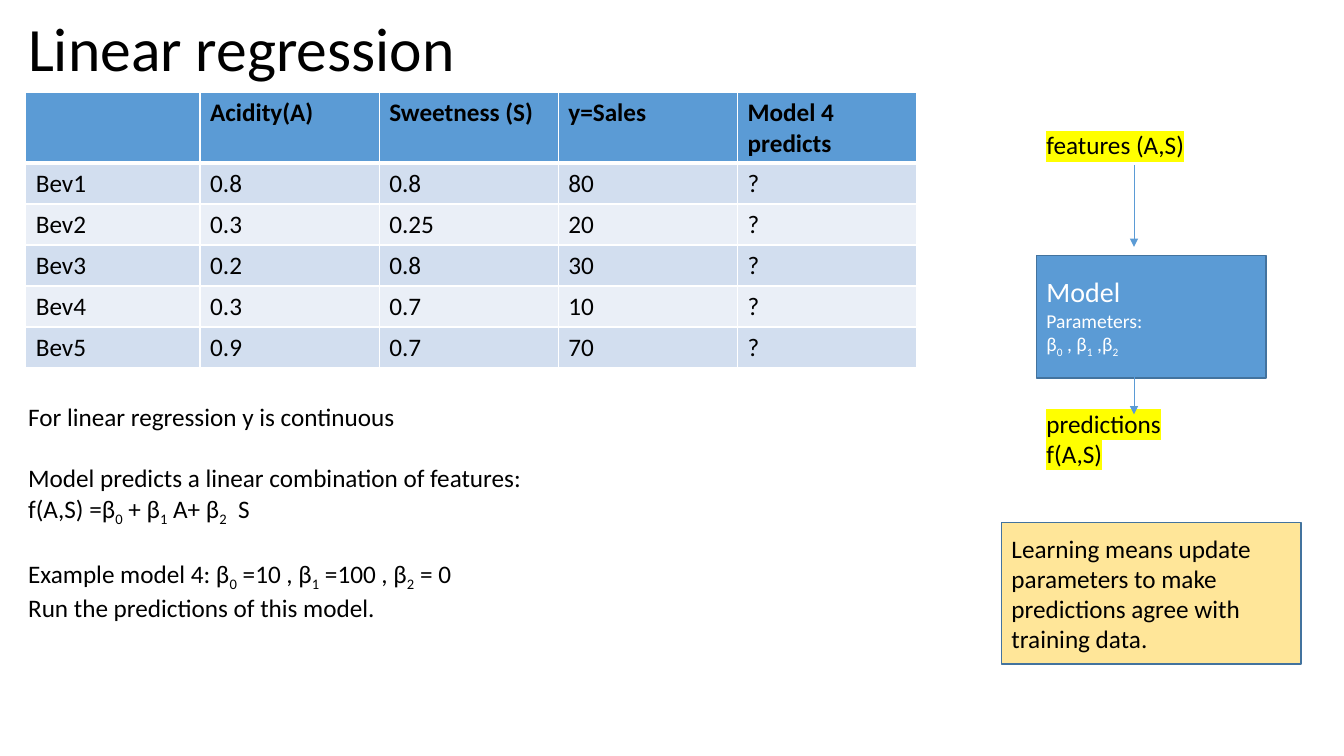
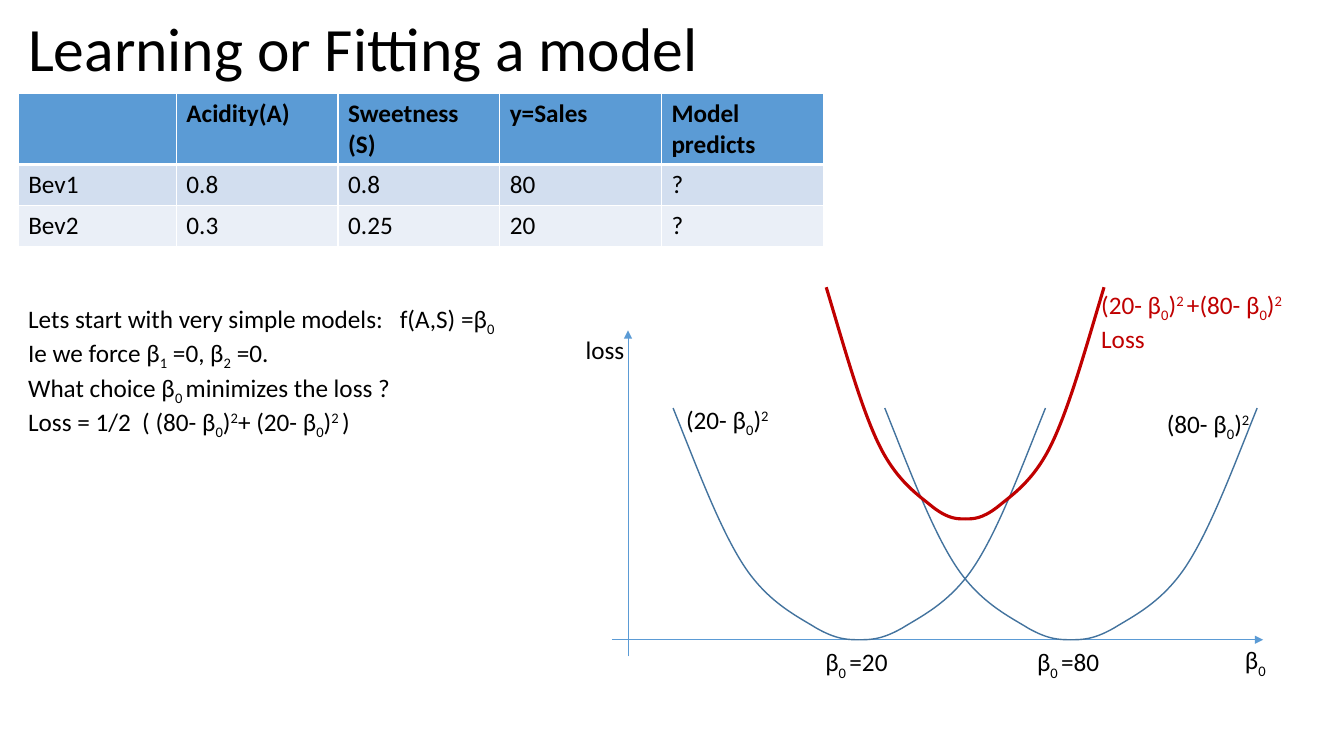
from dataclasses import dataclass

from lxml import etree
from pptx import Presentation
from pptx import util as u
from pptx.dml.color import RGBColor
from pptx.enum import shapes, text
from pptx.oxml.ns import qn

Pt = u.Pt


@dataclass(frozen=True)
class Theme:
    font: str = "Calibri"
    ink: str = "000000"
    white: str = "FFFFFF"
    blue: str = "5B9BD5"
    outline: str = "43739E"
    bands: tuple = ("D2DEEF", "EAEFF7")
    note: str = "FFE699"
    marker: str = "FFFF00"
    loss: str = "C00000"
    title: int = 44
    heading: int = 20
    body: int = 18
    small: int = 14


@dataclass(frozen=True)
class Line:
    text: str
    size: int = Theme.body
    before: float = 0
    tab: float = 0
    same_paragraph: bool = False


T = Theme()
BLANK_LINE = 22
HEADER_HEIGHT, ROW_HEIGHT = 49.5, 29.3
BASELINES = {"_": "-25000", "^": "30000"}
HALF_CURVE = [
    (1, 0), (0.87, 0.26), (0.75, 0.52), (0.62, 0.68),
    (0.49, 0.84), (0.33, 0.9), (0.23, 0.95),
    (0.12, 1), (0.06, 1), (0, 1),
]


def rgb(color):
    return RGBColor.from_string(color)


def sub(parent, tag, **attrs):
    return etree.SubElement(parent, qn(tag), attrs)


def add_run(p, content, size, color, bold=False, baseline=None, marker=None):
    r = p.add_run()
    r.text = content
    r.font.size = Pt(size)
    r.font.bold = bold
    r.font.color.rgb = rgb(color)
    r.font.name = T.font
    props = r._r.get_or_add_rPr()
    if baseline:
        props.set("baseline", baseline)
    if marker:
        highlight = etree.Element(qn("a:highlight"))
        sub(highlight, "a:srgbClr", val=marker)
        props.find(qn("a:solidFill")).addnext(highlight)


def start_line(tf, line, first):
    if line.same_paragraph:
        p = tf.paragraphs[-1]
        p.add_line_break()
        return p
    p = tf.paragraphs[0] if first else tf.add_paragraph()
    p.alignment = text.PP_ALIGN.LEFT
    if line.before:
        p.space_before = Pt(line.before)
    if line.tab:
        tabs = sub(p._p.get_or_add_pPr(), "a:tabLst")
        sub(tabs, "a:tab", pos=str(Pt(line.tab)), algn="l")
    return p


def write(tf, lines, color=T.ink, marker=None):
    """Odd pieces between bars are scripts: _ lowers them, ^ raises them."""
    tf.word_wrap = True
    for i, line in enumerate(lines):
        if isinstance(line, str):
            line = Line(line)
        p = start_line(tf, line, i == 0)
        for j, piece in enumerate(line.text.split("|")):
            if j % 2:
                add_run(p, piece[1:], line.size, color,
                        baseline=BASELINES[piece[0]], marker=marker)
            elif piece:
                add_run(p, piece, line.size, color, marker=marker)


def add_text(s, x, y, w, h, lines, color=T.ink, marker=None):
    sp = s.shapes.add_textbox(Pt(x), Pt(y), Pt(w), Pt(h))
    write(sp.text_frame, lines, color, marker)
    return sp.text_frame


def add_title(s, title):
    tf = add_text(s, 13, -15.4, 828, 104.4, [Line(title, T.title)])
    tf.vertical_anchor = text.MSO_ANCHOR.MIDDLE
    tf.paragraphs[0].line_spacing = 0.9


def add_box(s, x, y, w, h, fill, lines, color):
    sp = s.shapes.add_shape(shapes.MSO_SHAPE.RECTANGLE, Pt(x), Pt(y), Pt(w), Pt(h))
    sp.shadow.inherit = False
    sp.fill.solid()
    sp.fill.fore_color.rgb = rgb(fill)
    sp.line.color.rgb = rgb(T.outline)
    sp.line.width = Pt(1)
    sp.text_frame.vertical_anchor = text.MSO_ANCHOR.MIDDLE
    write(sp.text_frame, lines, color)


def add_arrow(s, x1, y1, x2, y2):
    sp = s.shapes.add_connector(
        shapes.MSO_CONNECTOR.STRAIGHT, Pt(x1), Pt(y1), Pt(x2), Pt(y2))
    sp.line.color.rgb = rgb(T.blue)
    sp.line.width = Pt(0.5)
    props = sp._element.spPr
    sub(props.find(qn("a:ln")), "a:tailEnd", type="triangle")
    sub(props, "a:effectLst")


def set_borders(cell, widths):
    props = cell._tc.get_or_add_tcPr()
    for i, (side, width) in enumerate(widths.items()):
        ln = etree.Element(qn("a:ln" + side), w=str(Pt(width)))
        sub(sub(ln, "a:solidFill"), "a:srgbClr", val=T.white)
        props.insert(i, ln)


def add_table(s, x, y, first_width, width, rows):
    widths = [first_width] + [width] * (len(rows[0]) - 1)
    heights = [HEADER_HEIGHT] + [ROW_HEIGHT] * (len(rows) - 1)
    table = s.shapes.add_table(
        len(rows), len(widths), Pt(x), Pt(y), Pt(sum(widths)), Pt(sum(heights))).table
    for column, value in zip(table.columns, widths):
        column.width = Pt(value)
    for i, (row, height) in enumerate(zip(rows, heights)):
        table.rows[i].height = Pt(height)
        for j, content in enumerate(row):
            cell = table.cell(i, j)
            cell.fill.solid()
            cell.fill.fore_color.rgb = rgb(T.bands[(i - 1) % 2] if i else T.blue)
            set_borders(cell, {"L": 1, "R": 1, "T": 3 if i == 1 else 1,
                               "B": 1 if i else 3})
            if content:
                add_run(cell.text_frame.paragraphs[0], content, T.body, T.ink, bold=i == 0)


def round_segments(sp):
    segments = list(sp._element.iter(qn("a:lnTo")))
    for i in range(0, len(segments), 3):
        curve = etree.Element(qn("a:cubicBezTo"))
        segments[i].addprevious(curve)
        for segment in segments[i:i + 3]:
            curve.append(segment[0])
            segment.getparent().remove(segment)


def add_curve(s, center, top, half_width, depth, color, width):
    for side in (-1, 1):
        points = [(Pt(center + side * x * half_width), Pt(top + y * depth))
                  for x, y in HALF_CURVE]
        builder = s.shapes.build_freeform(*points[0])
        builder.add_line_segments(points[1:], close=False)
        sp = builder.convert_to_shape()
        round_segments(sp)
        sp.shadow.inherit = False
        sp.fill.background()
        sp.line.color.rgb = rgb(color)
        sp.line.width = Pt(width)


def beverage_rows(prediction, values):
    header = ["", "Acidity(A)", "Sweetness (S)", "y=Sales", prediction]
    return [header] + [[f"Bev{i}", *row, "?"] for i, row in enumerate(values, 1)]


def regression_slide(s, beverages):
    add_title(s, "Linear regression")
    add_table(s, 18.4, 66, 124.5, 128, beverage_rows("Model 4 predicts", beverages))
    add_text(s, 13, 283.4, 410, 160, [
        "For linear regression y is continuous",
        Line("Model predicts a linear combination of features:", before=BLANK_LINE),
        Line("f(A,S) =β|_0| + β|_1| A+ β|_2|\tS", tab=150),
        Line("Example model 4: β|_0| =10 , β|_1| =100 , β|_2| = 0", before=BLANK_LINE),
        "Run the predictions of this model.",
    ])
    left, arrow_x = 740.4, 810
    add_box(s, left, 182.6, 164, 87.4, T.blue, [
        Line("Model", T.heading),
        Line("Parameters:", T.small, same_paragraph=True),
        Line("β|_0| , β|_1| ,β|_2|", T.small),
    ], T.white)
    add_text(s, left, 89, 140, 29, ["features (A,S)"], marker=T.marker)
    add_text(s, left, 288, 140, 51, ["predictions", "f(A,S)"], marker=T.marker)
    for y in (118, 237.6):
        add_arrow(s, arrow_x, y, arrow_x, y + 58.4)
    add_box(s, 715.4, 373.3, 214, 101, T.note, [
        "Learning means update parameters to make predictions agree with training data.",
    ], T.ink)


def fitting_slide(s, beverages):
    add_title(s, "Learning or Fitting a model")
    add_table(s, 13, 67, 113, 115.5, beverage_rows("Model predicts", beverages))
    add_text(s, 13, 213, 400, 117, [
        Line("Lets start with very simple models:\tf(A,S) =β|_0|", tab=265.5),
        "Ie we force β|_1| =0, β|_2| =0.",
        "What choice β|_0 |minimizes the loss ?",
        Line("Loss = 1/2\t( (80- β|_0|)|^2|+ (20- β|_0|)|^2 |)", tab=81.5),
    ])
    axis_y, depth = 457, 165.5
    centers = {20: 613.8, 80: 765}
    add_arrow(s, 437, axis_y, 902.3, axis_y)
    add_arrow(s, 448.6, 468.8, 448.6, 236)
    add_text(s, 882.2, axis_y, 38, 29, ["β|_0|"])
    add_text(s, 411.2, 235, 46, 29, ["loss"])
    for (sales, center), (x, y) in zip(centers.items(), [(483, 285), (826.4, 288)]):
        add_curve(s, center, axis_y - depth, 133, depth, T.outline, 1)
        add_text(s, x, y, 79, 29, [f"({sales}- β|_0|)|^2|"])
        add_text(s, center - 31.3, 458.3, 61, 29, [f"β|_0 |={sales}"])
    add_curve(s, sum(centers.values()) / 2, 205.2, 99.2, depth, T.loss, 2.25)
    add_text(s, 779.5, 203, 150, 51,
             ["(20- β|_0|)|^2 |+(80- β|_0|)|^2|", "Loss"], T.loss)


def main():
    prs = Presentation()
    prs.slide_width, prs.slide_height = Pt(960), Pt(540)
    beverages = [
        ("0.8", "0.8", "80"),
        ("0.3", "0.25", "20"),
        ("0.2", "0.8", "30"),
        ("0.3", "0.7", "10"),
        ("0.9", "0.7", "70"),
    ]
    blank = prs.slide_layouts[6]
    regression_slide(prs.slides.add_slide(blank), beverages)
    fitting_slide(prs.slides.add_slide(blank), beverages[:2])
    prs.save("out.pptx")


if __name__ == "__main__":
    main()
